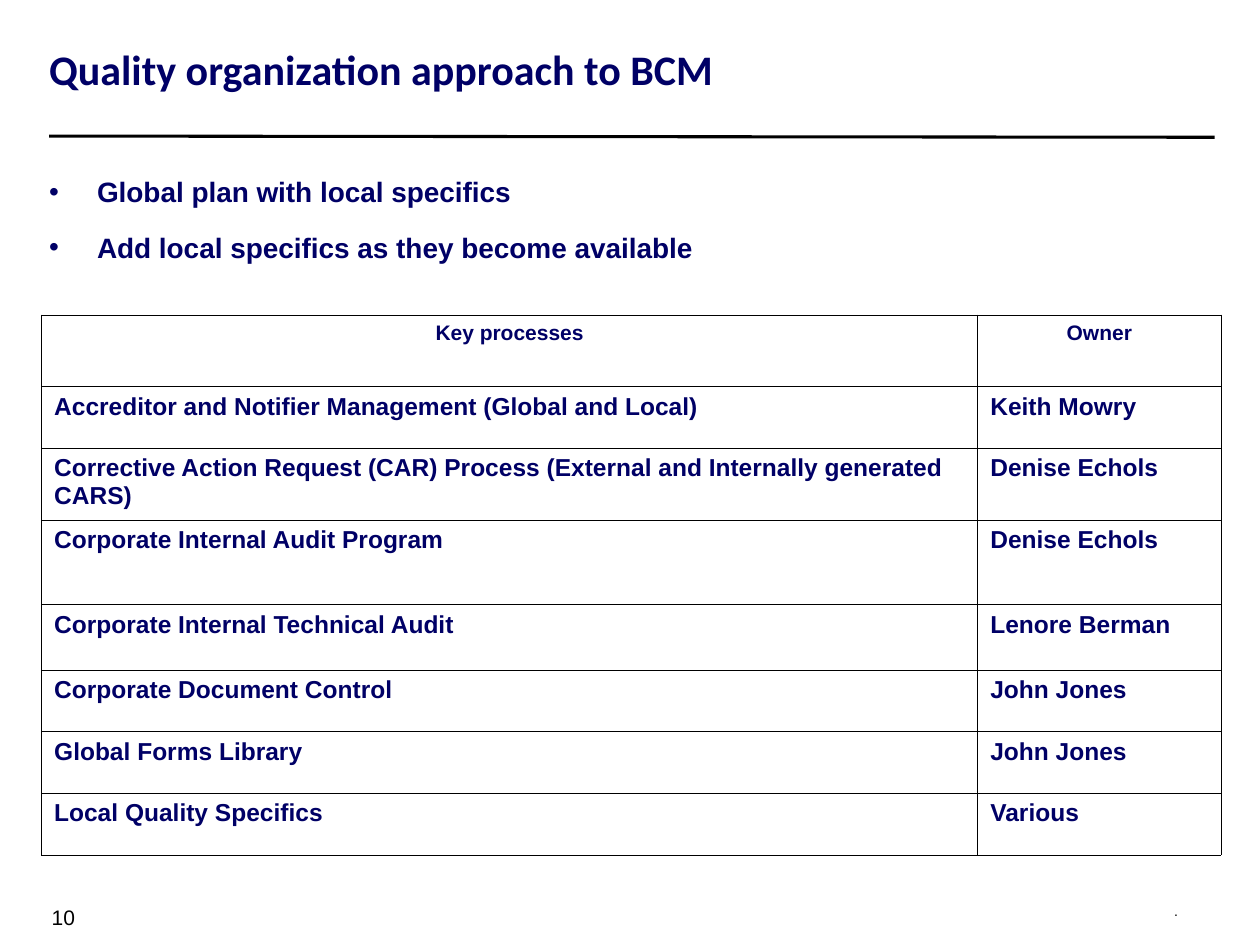
from dataclasses import dataclass

from pptx import Presentation
from pptx.dml.color import RGBColor
from pptx.enum.shapes import MSO_CONNECTOR
from pptx.enum.text import MSO_ANCHOR, MSO_AUTO_SIZE, PP_ALIGN
from pptx.oxml.ns import qn
from pptx.util import Inches, Pt
from lxml.etree import SubElement

NAVY = "000066"
BLACK = "000000"
WIDTH, HEIGHT = Inches(10), Inches(7.5)


@dataclass(frozen=True)
class Area:
    left: float
    top: float
    width: float
    height: float

    def lengths(self) -> tuple:
        return across(self.left), down(self.top), across(self.width), down(self.height)


@dataclass(frozen=True)
class Style:
    size: float
    color: str = NAVY
    bold: bool = True
    font: str = "Arial"


@dataclass(frozen=True)
class Process:
    name: str
    owner: str
    height: float = 6.53


def across(percent: float) -> int:
    return round(WIDTH * percent / 100)


def down(percent: float) -> int:
    return round(HEIGHT * percent / 100)


def rgb(color: str) -> RGBColor:
    return RGBColor.from_string(color)


def write(paragraph, text: str, style: Style, align=PP_ALIGN.LEFT) -> None:
    paragraph.alignment = align
    run = paragraph.add_run()
    run.text = text
    run.font.name = style.font
    run.font.size = Pt(style.size)
    run.font.bold = style.bold
    run.font.color.rgb = rgb(style.color)


def prepare(shape, anchor, wrap: bool = True):
    frame = shape.text_frame
    frame.margin_left = frame.margin_right = frame.margin_top = frame.margin_bottom = 0
    frame.vertical_anchor = anchor
    frame.word_wrap = wrap
    frame.auto_size = MSO_AUTO_SIZE.NONE
    return frame


def place(placeholder, area: Area):
    placeholder.left, placeholder.top, placeholder.width, placeholder.height = area.lengths()
    return prepare(placeholder, MSO_ANCHOR.TOP)


def add_bullet(paragraph, color: str) -> None:
    properties = paragraph._p.get_or_add_pPr()
    properties.set("marL", str(Inches(0.38)))
    properties.set("indent", str(-Inches(0.38)))
    bullet_color = SubElement(properties, qn("a:buClr"))
    SubElement(bullet_color, qn("a:srgbClr")).set("val", color)
    SubElement(properties, qn("a:buFont")).set("typeface", "Arial")
    SubElement(properties, qn("a:buChar")).set("char", "•")


def add_borders(cell, color: str, points: float) -> None:
    properties = cell._tc.get_or_add_tcPr()
    for side in ("a:lnL", "a:lnR", "a:lnT", "a:lnB"):
        border = SubElement(properties, qn(side))
        border.set("w", str(Pt(points)))
        fill = SubElement(border, qn("a:solidFill"))
        SubElement(fill, qn("a:srgbClr")).set("val", color)


def add_process_table(slide, area: Area, columns: tuple, processes: list) -> None:
    table = slide.shapes.add_table(len(processes), len(columns), *area.lengths()).table
    table.first_row = table.horz_banding = False
    for column, width in zip(table.columns, columns):
        column.width = across(width)
    for index, (row, process) in enumerate(zip(table.rows, processes)):
        row.height = down(process.height)
        header = index == 0
        for cell, text in zip(row.cells, (process.name, process.owner)):
            add_borders(cell, BLACK, 0.45)
            cell.fill.background()
            paragraph = cell.text_frame.paragraphs[0]
            paragraph.space_after = Pt(3.7 if header else 4.4)
            write(paragraph, text, Style(12 if header else 14),
                  PP_ALIGN.CENTER if header else PP_ALIGN.LEFT)


def add_rule(slide, start: tuple, end: tuple) -> None:
    rule = slide.shapes.add_connector(MSO_CONNECTOR.STRAIGHT, across(start[0]), down(start[1]),
                                      across(end[0]), down(end[1]))
    rule.line.color.rgb = rgb(BLACK)
    rule.line.width = Pt(1.75)
    SubElement(rule._element.spPr, qn("a:effectLst"))


def add_footer(slide, area: Area, text: str, size: float, align, wrap: bool) -> None:
    frame = prepare(slide.shapes.add_textbox(*area.lengths()), MSO_ANCHOR.BOTTOM, wrap)
    write(frame.paragraphs[0], text, Style(size, BLACK, False), align)


def main() -> None:
    deck = Presentation()
    deck.slide_width, deck.slide_height = WIDTH, HEIGHT
    slide = deck.slides.add_slide(deck.slide_layouts[1])

    add_footer(slide, Area(93.2, 95.6, 0.3, 1.73), ".", 8, PP_ALIGN.RIGHT, False)
    add_rule(slide, (3.9, 14.4), (96.4, 14.53))
    add_footer(slide, Area(4.1, 96.67, 3.9, 1.73), "10", 12, PP_ALIGN.LEFT, True)

    heading = place(slide.shapes.title, Area(3.9, 5.2, 92.1, 9.2)).paragraphs[0]
    heading.line_spacing = 0.9
    write(heading, "Quality organization approach to BCM", Style(24, font="Calibri"))

    approach = place(slide.placeholders[1], Area(3.9, 17.07, 92.1, 11.87))
    points = ["Global plan with local specifics", "Add local specifics as they become available"]
    for index, point in enumerate(points):
        paragraph = approach.add_paragraph() if index else approach.paragraphs[0]
        paragraph.line_spacing = 1.4
        paragraph.space_before = Pt(0)
        paragraph.space_after = Pt(5)
        add_bullet(paragraph, NAVY)
        write(paragraph, point, Style(16))

    processes = [
        Process("Key processes", "Owner", 7.6),
        Process("Accreditor and Notifier Management (Global and Local)", "Keith Mowry"),
        Process("Corrective Action Request (CAR) Process (External and Internally generated CARS)",
                "Denise Echols", 7.6),
        Process("Corporate Internal Audit Program", "Denise Echols", 8.93),
        Process("Corporate Internal Technical Audit", "Lenore Berman", 6.93),
        Process("Corporate Document Control", "John Jones"),
        Process("Global Forms Library", "John Jones"),
        Process("Local Quality Specifics", "Various"),
    ]
    add_process_table(slide, Area(3.3, 33.33, 93.6, 57.33), (74.3, 19.3), processes)

    deck.save("out.pptx")


if __name__ == "__main__":
    main()
